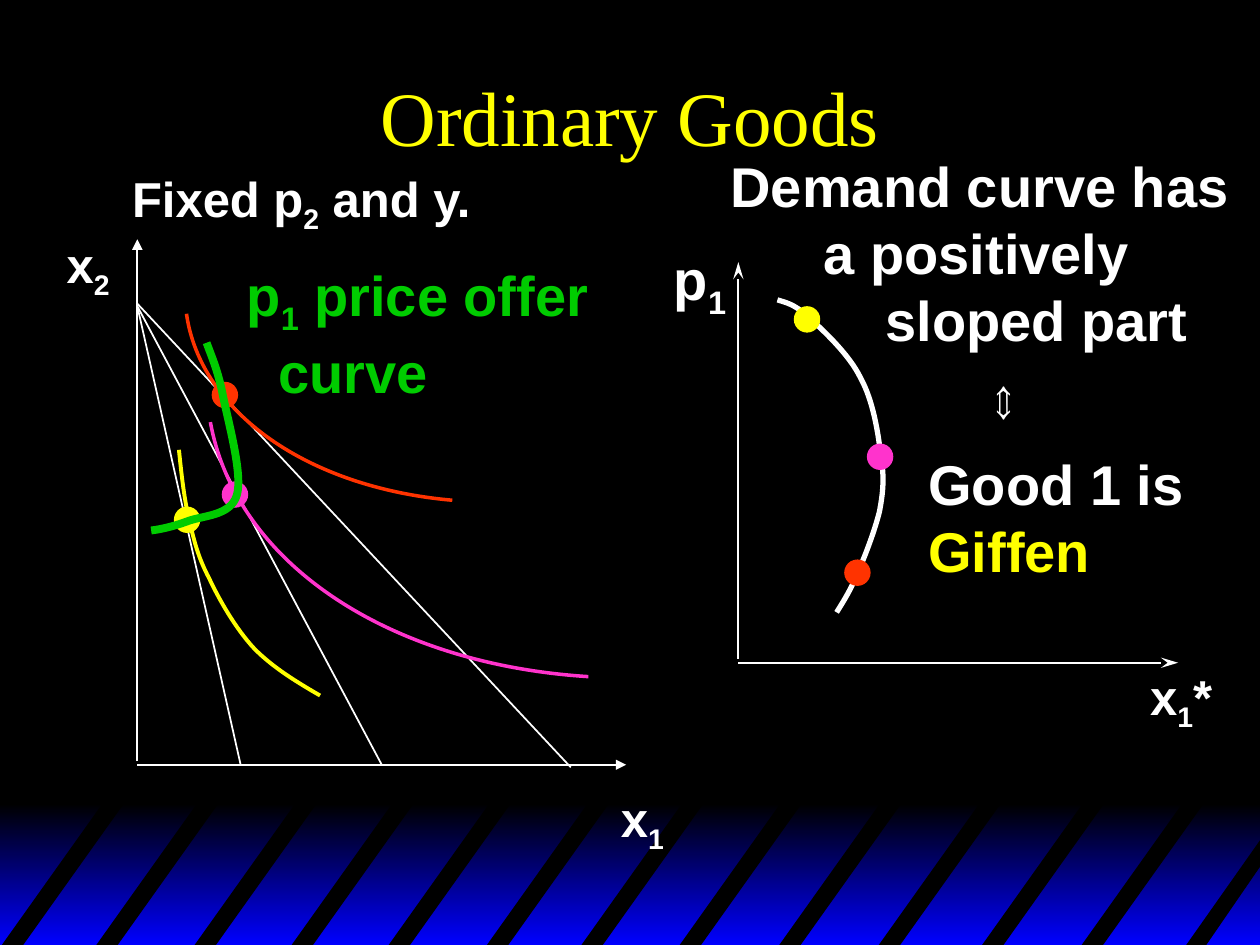
import dataclasses
import typing

import lxml.etree
import pptx
import pptx.dml.color
import pptx.enum.shapes
import pptx.enum.text
import pptx.oxml.ns
import pptx.util

RGBColor = pptx.dml.color.RGBColor
qn = pptx.oxml.ns.qn
BLACK = RGBColor(0x00, 0x00, 0x00)
BLUE = RGBColor(0x00, 0x00, 0xFF)
WHITE = RGBColor(0xFF, 0xFF, 0xFF)
YELLOW = RGBColor(0xFF, 0xFF, 0x00)
GREEN = RGBColor(0x00, 0xCC, 0x00)
RED = RGBColor(0xFF, 0x33, 0x00)
PINK = RGBColor(0xFF, 0x33, 0xCC)

Point = tuple[float, float]
DOT_SIZE = 0.21

STRIPE_LEFTS = (0, 0.75, 1.53, 2.3, 3.07, 3.85, 4.6, 5.38, 6.17, 6.96, 7.78, 8.57)
STRIPE_TOP, STRIPE_BOTTOM = 6.34, 7.52
STRIPE_WIDTH, STRIPE_SLANT = 0.17, 0.84


class Line(typing.NamedTuple):
    """A line of text; pieces between bars are subscripts."""
    text: str
    color: RGBColor = WHITE
    indent: float = 0
    hanging: float = 0
    joined: bool = False  # goes on in the paragraph before, after a line break


@dataclasses.dataclass
class Label:
    box: tuple[float, float, float, float]
    lines: list[Line]
    size: int = 28
    rotation: int = 0


@dataclasses.dataclass
class Curve:
    """A chain of cubic Bezier arcs: a start, then three points an arc."""
    points: list[Point]
    color: RGBColor
    width: float


@dataclasses.dataclass
class Straight:
    start: Point
    end: Point
    arrow: str = ""
    arrow_length: str = "med"


@dataclasses.dataclass
class Dot:
    left: float
    top: float
    color: RGBColor


STRAIGHTS = [
    Straight((1.09, 6.04), (1.09, 1.9), "triangle"),
    Straight((1.09, 6.07), (4.97, 6.07), "triangle"),
    Straight((5.86, 5.23), (5.86, 2.08), "stealth", "lg"),
    Straight((5.86, 5.26), (9.35, 5.26), "stealth", "lg"),
    Straight((1.09, 2.41), (4.53, 6.09)),
    Straight((1.09, 2.43), (3.03, 6.07)),
    Straight((1.09, 2.43), (1.91, 6.07)),
]

DEMAND_CURVE = Curve(
    [(6.17, 2.38), (6.23, 2.4), (6.3, 2.41), (6.41, 2.51), (6.52, 2.61),
     (6.74, 2.81), (6.83, 3), (6.93, 3.18), (6.97, 3.44), (6.99, 3.61),
     (7.02, 3.79), (7.01, 3.9), (6.98, 4.06), (6.94, 4.22), (6.86, 4.43),
     (6.8, 4.56), (6.75, 4.69), (6.67, 4.81), (6.64, 4.86)], WHITE, 3)
RED_INDIFFERENCE = Curve([(3.59, 3.97), (2.44, 3.87), (1.59, 3.27), (1.48, 2.49)], RED, 2)
PINK_INDIFFERENCE = Curve([(4.67, 5.37), (3.07, 5.27), (1.87, 4.46), (1.67, 3.35)], PINK, 2)
YELLOW_INDIFFERENCE = Curve(
    [(1.42, 3.57), (1.44, 3.76), (1.46, 3.95), (1.5, 4.12), (1.54, 4.29),
     (1.57, 4.42), (1.66, 4.59), (1.74, 4.76), (1.87, 4.99), (2.02, 5.15),
     (2.17, 5.3), (2.35, 5.41), (2.54, 5.52)], YELLOW, 2.25)
OFFER_CURVE = Curve(
    [(1.2, 4.21), (1.28, 4.2), (1.37, 4.18), (1.48, 4.14), (1.6, 4.09),
     (1.83, 4.1), (1.88, 3.93), (1.93, 3.77), (1.81, 3.34), (1.77, 3.14),
     (1.73, 2.94), (1.68, 2.83), (1.64, 2.72)], GREEN, 4.5)

DOTS = [
    Dot(1.38, 4.02, YELLOW), Dot(1.76, 3.82, PINK), Dot(1.68, 3.03, RED),
    Dot(6.3, 2.43, YELLOW), Dot(6.7, 4.44, RED), Dot(6.88, 3.52, PINK),
]

LABELS = [
    Label((0.95, 1.29, 2.92, 0.63), [Line("Fixed p|2| and y.")]),
    Label((4.83, 6.21, 0.54, 0.63), [Line("x|1|")]),
    Label((0.43, 1.81, 0.54, 0.63), [Line("x|2|")]),
    Label((1.86, 2.02, 2.92, 1.24),
          [Line("p|1| price offer", GREEN), Line("curve", GREEN, indent=0.25)], 32),
    Label((9.03, 5.24, 0.69, 0.63), [Line("x|1|*")]),
    Label((5.7, 1.15, 4.16, 1.7),
          [Line("Demand curve has", indent=0.74, hanging=0.74),
           Line("a positively", joined=True), Line("sloped part", indent=1.23)], 32),
    Label((7.27, 3.52, 2.23, 1.17),
          [Line("Good 1 is"), Line("Giffen", YELLOW, joined=True)], 32),
    Label((7.72, 2.88, 0.62, 0.63), [Line("⇔")], 32, 90),
    Label((5.25, 1.89, 0.62, 0.71), [Line("p|1|")], 32),
]


def length(inches: float) -> pptx.util.Length:
    return pptx.util.Cm(inches * 2.54)


def write(paragraph, text: str, *, font: str = "Arial", size: int = 28,
          color: RGBColor = WHITE, bold: bool = True) -> None:
    for index, piece in enumerate(text.split("|")):
        if not piece:
            continue
        run = paragraph.add_run()
        run.text = piece
        run.font.name, run.font.size, run.font.bold = font, pptx.util.Pt(size), bold
        run.font.color.rgb = color
        if index % 2:
            run._r.get_or_add_rPr().set("baseline", "-25000")


def add_label(slide, label: Label) -> None:
    shape = slide.shapes.add_textbox(*map(length, label.box))
    shape.rotation = label.rotation
    frame = shape.text_frame
    frame.word_wrap = False
    frame.auto_size = pptx.enum.text.MSO_AUTO_SIZE.SHAPE_TO_FIT_TEXT
    paragraph = frame.paragraphs[0]
    for index, line in enumerate(label.lines):
        if line.joined:
            paragraph.add_line_break()
        elif index:
            paragraph = frame.add_paragraph()
        if line.indent:
            properties = paragraph._p.get_or_add_pPr()
            properties.set("marL", str(length(line.indent)))
            properties.set("indent", str(-length(line.hanging)))
        write(paragraph, line.text, size=label.size, color=line.color)


def add_outline(slide, points: list[Point], close: bool):
    corners = [(length(x), length(y)) for x, y in points]
    builder = slide.shapes.build_freeform(*corners[0])
    builder.add_line_segments(corners[1:], close=close)
    shape = builder.convert_to_shape()
    shape.shadow.inherit = False
    return shape


def add_curve(slide, curve: Curve) -> None:
    shape = add_outline(slide, curve.points, close=False)
    # Every three straight segments become one cubic arc
    segments = list(shape.element.spPr.iter(qn("a:lnTo")))
    for first in range(0, len(segments), 3):
        arc = lxml.etree.Element(qn("a:cubicBezTo"))
        segments[first].addprevious(arc)
        for segment in segments[first:first + 3]:
            arc.append(segment[0])
            segment.getparent().remove(segment)
    shape.fill.background()
    shape.line.color.rgb = curve.color
    shape.line.width = pptx.util.Pt(curve.width)


def add_straight(slide, straight: Straight) -> None:
    connector = slide.shapes.add_connector(
        pptx.enum.shapes.MSO_CONNECTOR.STRAIGHT, *map(length, straight.start + straight.end))
    connector.line.color.rgb = WHITE
    connector.line.width = pptx.util.Pt(1)
    properties = connector.element.spPr
    if straight.arrow:
        lxml.etree.SubElement(properties.find(qn("a:ln")), qn("a:tailEnd"),
                              type=straight.arrow, len=straight.arrow_length)
    lxml.etree.SubElement(properties, qn("a:effectLst"))


def add_preset(slide, kind, box: tuple[float, float, float, float]):
    shape = slide.shapes.add_shape(kind, *map(length, box))
    shape.shadow.inherit = False
    shape.line.fill.background()
    return shape


def paint(target, color: RGBColor) -> None:
    target.fill.solid()
    target.fill.fore_color.rgb = color


def add_dot(slide, dot: Dot) -> None:
    box = (dot.left, dot.top, DOT_SIZE, DOT_SIZE)
    paint(add_preset(slide, pptx.enum.shapes.MSO_SHAPE.OVAL, box), dot.color)


def add_backdrop(slide) -> None:
    paint(slide.background, BLACK)
    band = add_preset(slide, pptx.enum.shapes.MSO_SHAPE.RECTANGLE, (0, 6.38, 10.02, 1.12))
    band.fill.gradient()
    band.fill.gradient_angle = 270
    for stop, color in zip(band.fill.gradient_stops, (BLACK, BLUE)):
        stop.color.rgb = color
    stripes = [[(left, STRIPE_BOTTOM), (left + STRIPE_SLANT, STRIPE_TOP),
                (left + STRIPE_SLANT + STRIPE_WIDTH, STRIPE_TOP),
                (left + STRIPE_WIDTH, STRIPE_BOTTOM)] for left in STRIPE_LEFTS]
    # The last stripe is cut by the right edge
    stripes.append([(9.4, 7.52), (10.02, 6.64), (10.02, 6.85), (9.56, 7.52)])
    for points in stripes:
        stripe = add_outline(slide, points, close=True)
        paint(stripe, BLACK)
        stripe.line.fill.background()


def add_title(slide, text: str) -> None:
    title = slide.shapes.title
    title.left, title.top, title.width, title.height = map(length, (0.75, 0.25, 8.5, 1.33))
    title.text_frame.vertical_anchor = pptx.enum.text.MSO_ANCHOR.MIDDLE
    paragraph = title.text_frame.paragraphs[0]
    paragraph.alignment = pptx.enum.text.PP_ALIGN.CENTER
    write(paragraph, text, font="Times New Roman", size=44, color=YELLOW, bold=False)


def main() -> None:
    presentation = pptx.Presentation()
    presentation.slide_width, presentation.slide_height = length(10), length(7.5)
    slide = presentation.slides.add_slide(presentation.slide_layouts[5])
    add_backdrop(slide)
    add_title(slide, "Ordinary Goods")
    # Axes, budget lines and curves; the last two curves pass over the dots
    for straight in STRAIGHTS:
        add_straight(slide, straight)
    for curve in (DEMAND_CURVE, RED_INDIFFERENCE, PINK_INDIFFERENCE):
        add_curve(slide, curve)
    for dot in DOTS:
        add_dot(slide, dot)
    for curve in (YELLOW_INDIFFERENCE, OFFER_CURVE):
        add_curve(slide, curve)
    for label in LABELS:
        add_label(slide, label)
    presentation.save("out.pptx")


if __name__ == "__main__":
    main()
